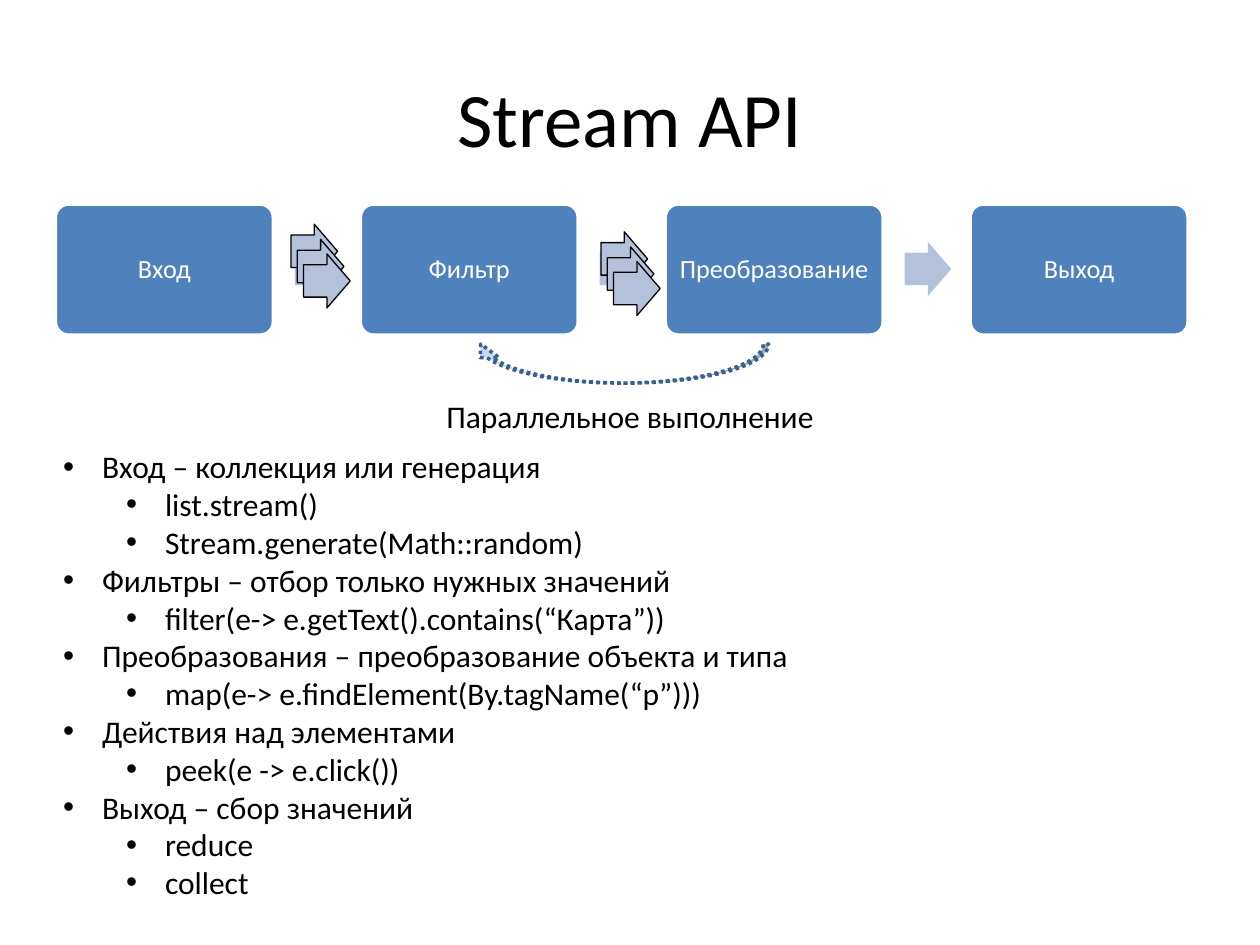
from dataclasses import dataclass

from lxml import etree
from pptx import Presentation
from pptx.dml.color import RGBColor
from pptx.enum.dml import MSO_LINE
from pptx.enum.shapes import MSO_SHAPE
from pptx.enum.text import MSO_ANCHOR, MSO_AUTO_SIZE, PP_ALIGN
from pptx.oxml.ns import qn
from pptx.util import Inches, Pt

ROUND = MSO_SHAPE.ROUNDED_RECTANGLE
ARROW = MSO_SHAPE.RIGHT_ARROW
CURVE = MSO_SHAPE.CURVED_DOWN_ARROW
DOTS = MSO_LINE.ROUND_DOT
MIDDLE = MSO_ANCHOR.MIDDLE
TOP = MSO_ANCHOR.TOP
FIXED = MSO_AUTO_SIZE.NONE
CENTER = PP_ALIGN.CENTER
LEFT = PP_ALIGN.LEFT


@dataclass
class Theme:
    font: str = "Calibri"
    ink: str = "000000"
    paper: str = "FFFFFF"
    box: str = "4F81BD"
    arrow: str = "B3C1DB"
    loop: str = "C6D9F1"
    edge: str = "3A5F8C"
    title: int = 44
    body: int = 18
    label: int = 15


class Deck:
    def __init__(self, theme):
        self.theme = theme
        self.file = Presentation()
        self.file.slide_width = Inches(10)
        self.file.slide_height = Inches(7.5)
        self.slide = self.file.slides.add_slide(self.file.slide_layouts[1])

    def place(self, shape, *area):
        shape.left, shape.top, shape.width, shape.height = map(Inches, area)

    def style(self, para, size, color, align):
        para.alignment = align
        for run in para.runs:
            run.font.name = self.theme.font
            run.font.size = Pt(size)
            run.font.color.rgb = RGBColor.from_string(color)

    def title(self, text, *area):
        shape = self.slide.shapes.title
        self.place(shape, *area)
        frame = shape.text_frame
        frame.text = text
        frame.vertical_anchor = MIDDLE
        self.style(frame.paragraphs[0], self.theme.title, self.theme.ink, CENTER)

    def shape(self, kind, area, fill, line=None, width=0, adjust=()):
        shape = self.slide.shapes.add_shape(kind, *map(Inches, area))
        shape.shadow.inherit = False
        shape.fill.solid()
        shape.fill.fore_color.rgb = RGBColor.from_string(fill)
        if line:
            shape.line.color.rgb = RGBColor.from_string(line)
            shape.line.width = Pt(width)
        else:
            shape.line.fill.background()
        for index, value in enumerate(adjust):
            shape.adjustments[index] = value
        return shape

    def box(self, text, *area):
        theme = self.theme
        shape = self.shape(ROUND, area, theme.box, theme.paper, 2, [0.1])
        frame = shape.text_frame
        frame.margin_left = frame.margin_right = Inches(0.06)
        frame.margin_top = frame.margin_bottom = Inches(0.06)
        frame.word_wrap = True
        frame.vertical_anchor = MIDDLE
        frame.text = text
        para = frame.paragraphs[0]
        para.line_spacing = 0.9
        self.style(para, theme.label, theme.paper, CENTER)

    def arrow(self, left, top, line=None):
        area = (left, top, 0.37, 0.43)
        self.shape(ARROW, area, self.theme.arrow, line, 0.75, [0.6, 0.5])

    def stack(self, left, top):
        for step, drop in enumerate((0, 0.12, 0.235)):
            self.arrow(left + 0.05 * step, top + drop, self.theme.ink)

    def loop(self, *area):
        theme = self.theme
        shape = self.shape(CURVE, area, theme.loop, theme.edge, 2,
                           [0.135, 0.484, 0.349])
        shape.rotation = 180
        shape.line.dash_style = DOTS

    def note(self, text, *area):
        frame = self.slide.shapes.add_textbox(*map(Inches, area)).text_frame
        frame.word_wrap = True
        frame.text = text
        self.style(frame.paragraphs[0], self.theme.body, self.theme.ink, CENTER)

    def list(self, items, *area):
        shape = self.slide.placeholders[1]
        self.place(shape, *area)
        frame = shape.text_frame
        frame.auto_size = FIXED
        frame.word_wrap = False
        frame.vertical_anchor = TOP
        frame.text = "\n".join(text for level, text in items)
        for para, (level, text) in zip(frame.paragraphs, items):
            para.level = level
            para.space_before = Pt(0)
            self.style(para, self.theme.body, self.theme.ink, LEFT)
            props = para._p.get_or_add_pPr()
            props.set("marL", str(Inches(0.31 + 0.5 * level)))
            props.set("indent", str(Inches(-0.31)))
            etree.SubElement(props, qn("a:buFont")).set("typeface", "Arial")
            etree.SubElement(props, qn("a:buChar")).set("char", "•")


STEPS = ["Вход", "Фильтр", "Преобразование", "Выход"]
ITEMS = [
    (0, "Вход – коллекция или генерация"),
    (1, "list.stream()"),
    (1, "Stream.generate(Math::random)"),
    (0, "Фильтры – отбор только нужных значений"),
    (1, "filter(e-> e.getText().contains(“Карта”))"),
    (0, "Преобразования – преобразование объекта и типа"),
    (1, "map(e-> e.findElement(By.tagName(“p”)))"),
    (0, "Действия над элементами"),
    (1, "peek(e -> e.click())"),
    (0, "Выход – сбор значений"),
    (1, "reduce"),
    (1, "collect"),
]


def main():
    deck = Deck(Theme())
    deck.title("Stream API", 0.5, 0.3, 9, 1.25)
    for index, step in enumerate(STEPS):
        left = 0.44 + 2.42 * index
        deck.box(step, left, 1.62, 1.73, 1.04)
        if index < len(STEPS) - 1:
            deck.arrow(left + 1.9, 1.92)
    deck.loop(3.74, 2.73, 2.36, 0.31)
    deck.stack(2.31, 1.78)
    deck.stack(4.77, 1.84)
    deck.note("Параллельное выполнение", 0.58, 3.1, 8.84, 0.4)
    deck.list(ITEMS, 0.4, 3.5, 6.03, 3.74)
    deck.file.save("out.pptx")


if __name__ == "__main__":
    main()
